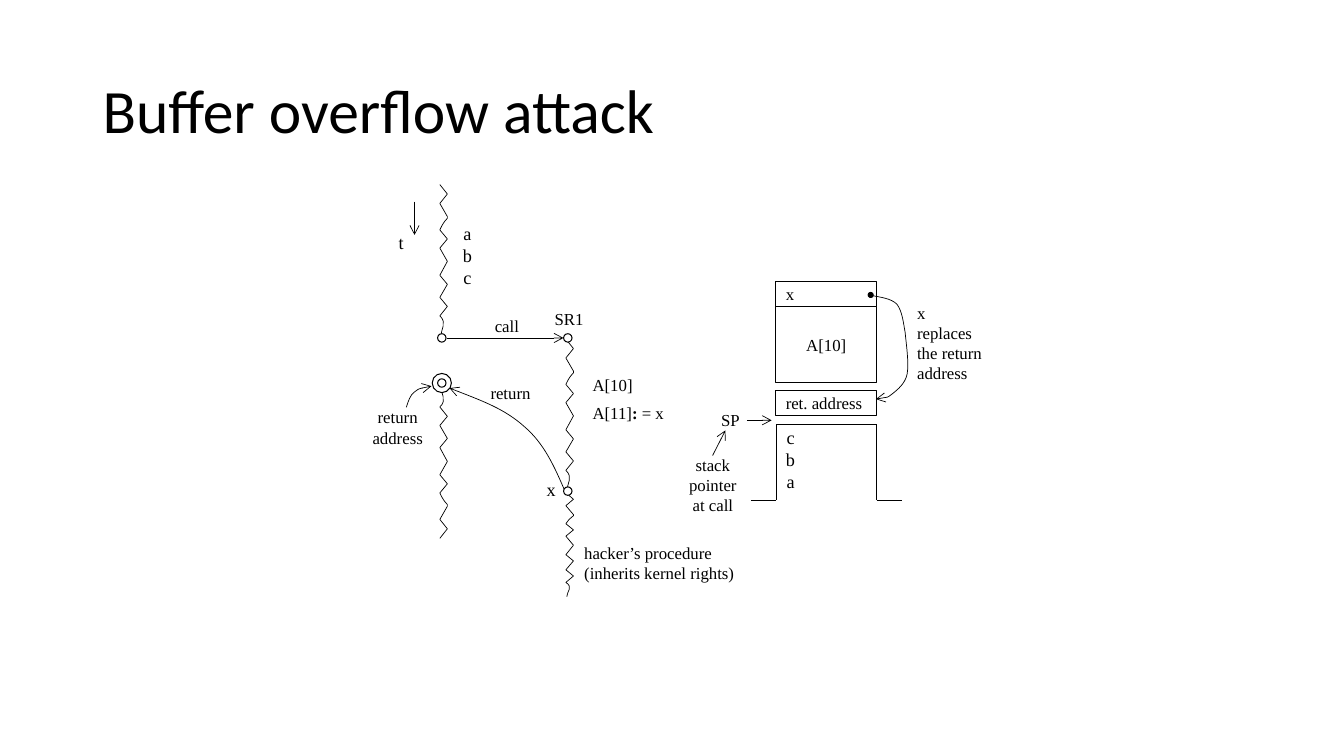
from lxml import etree
from pptx import Presentation
from pptx.dml.color import RGBColor
from pptx.enum.shapes import MSO_CONNECTOR, MSO_SHAPE
from pptx.enum.text import MSO_ANCHOR, MSO_AUTO_SIZE, PP_ALIGN
from pptx.oxml.ns import qn
from pptx.util import Pt

BLACK = RGBColor(0x00, 0x00, 0x00)
WHITE = RGBColor(0xFF, 0xFF, 0xFF)
LEFT, CENTER = PP_ALIGN.LEFT, PP_ALIGN.CENTER
MIDDLE = MSO_ANCHOR.MIDDLE
STRAIGHT = MSO_CONNECTOR.STRAIGHT
RECTANGLE, OVAL = MSO_SHAPE.RECTANGLE, MSO_SHAPE.OVAL
ZIGZAG_WIDTH = 5.4
ZIGZAG_HEIGHT = 108.7

presentation = Presentation()
presentation.slide_width = Pt(960)
presentation.slide_height = Pt(540)
slide = presentation.slides.add_slide(presentation.slide_layouts[6])
shapes = slide.shapes


def draw_path(start, steps):
    builder = shapes.build_freeform(Pt(start[0]), Pt(start[1]), scale=1.0)
    builder.add_line_segments([(Pt(step[-2]), Pt(step[-1])) for step in steps], close=False)
    shape = builder.convert_to_shape()
    shape.fill.background()
    shape.shadow.inherit = False
    segments = list(shape._element.iter(qn("a:lnTo")))
    for segment, step in zip(segments, steps):
        if len(step) == 2:
            continue
        segment.tag = qn("a:cubicBezTo")
        for position in (0, 1):
            control = etree.Element(qn("a:pt"))
            control.set("x", str(Pt(step[2 * position]) - shape.left))
            control.set("y", str(Pt(step[2 * position + 1]) - shape.top))
            segment.insert(position, control)
    return shape


def write_text(shape, lines, size, alignment, font_name="Times New Roman"):
    frame = shape.text_frame
    frame.word_wrap = True
    for number, line in enumerate(lines):
        paragraph = frame.paragraphs[0] if number == 0 else frame.add_paragraph()
        paragraph.alignment = alignment
        for position, part in enumerate(line.split("|")):
            run = paragraph.add_run()
            run.text = part
            font_format = {"name": font_name, "size": Pt(size), "bold": position == 1}
            for attribute, value in font_format.items():
                setattr(run.font, attribute, value)
            run.font.color.rgb = BLACK


title = shapes.add_textbox(Pt(66.24), Pt(28.8), Pt(828), Pt(104.4))
title.text_frame.vertical_anchor = MIDDLE
write_text(title, ["Buffer overflow attack"], 44, LEFT, "Calibri")
title.text_frame.paragraphs[0].line_spacing = 0.9

stack_cells = [
    (219, 54, "A[10]", CENTER),
    (201, 18, "x", LEFT),
    (279, 18, "ret. address", LEFT),
]
for top, height, label, alignment in stack_cells:
    cell = shapes.add_shape(RECTANGLE, Pt(554.2), Pt(top), Pt(72), Pt(height))
    cell.shadow.inherit = False
    cell.fill.solid()
    cell.fill.fore_color.rgb = WHITE
    cell.line.color.rgb = BLACK
    cell.line.width = Pt(0.75)
    cell.text_frame.vertical_anchor = MIDDLE
    write_text(cell, [label], 12, alignment)

zigzag_steps = [
    (1, 6.8), (0, 13.5), (1, 22.9), (1.13, 25.2, 0.75, 23.5, 0, 32.4),
    (1, 38.9), (0, 45.4), (1, 54.9), (0, 64.8), (1, 71.3), (0, 80.6),
    (1, 87.1), (0, 93.8), (1, 98.6, 0.13, 103.7, 0.13, ZIGZAG_HEIGHT),
]
zigzags = [
    (314.2, 131.8, ZIGZAG_HEIGHT),
    (314.2, 384.5, -ZIGZAG_HEIGHT),
    (404.2, 242.2, ZIGZAG_HEIGHT),
    (404.2, 352, 74.2),
]
strokes = []
for left, start, height in zigzags:
    steps = [
        tuple(
            start + value * height / ZIGZAG_HEIGHT if index % 2 else left + value * ZIGZAG_WIDTH
            for index, value in enumerate(step)
        )
        for step in zigzag_steps
    ]
    strokes.append((draw_path((left, start), steps), False))

curved_arrows = [
    ((290.2, 290.9), [(291.6, 286.6, 293, 282.2, 295.9, 280.1),
                      (299.5, 277.2, 303.8, 276.5, 308.2, 275.8)]),
    ((403.2, 349.9), [(396, 333.4, 388.8, 316.8, 374.4, 304.6),
                      (360.7, 292.3, 341.3, 285.1, 321.1, 277.2)]),
    ((622.1, 211), [(629.3, 212.4, 636.5, 213.1, 640.8, 217.4),
                    (644.4, 222.5, 645.1, 229, 646.6, 237.6),
                    (647.3, 245.5, 649.4, 259.2, 648, 267.1),
                    (646.6, 274.3, 640.8, 278.6, 637.2, 281.5),
                    (633.6, 284.4, 630, 284.4, 625.7, 285.1)]),
]
for start, steps in curved_arrows:
    strokes.append((draw_path(start, steps), True))

straight_lines = [
    (296.1, 144, 296.1, 167.8, True),
    (319, 241.4, 402.5, 241.4, True),
    (533.5, 300.2, 551.2, 300.2, True),
    (509, 325.4, 518.2, 307.4, True),
    (536.4, 357.1, 554.4, 357.1, False),
    (626.2, 357.1, 644.4, 357.1, False),
    (554.4, 303.1, 554.4, 357.1, False),
    (554.4, 303.1, 626.2, 303.1, False),
    (626.2, 303.1, 626.2, 357.1, False),
]
for x1, y1, x2, y2, has_arrow in straight_lines:
    connector = shapes.add_connector(STRAIGHT, Pt(x1), Pt(y1), Pt(x2), Pt(y2))
    strokes.append((connector, has_arrow))

for stroke, has_arrow in strokes:
    stroke.line.color.rgb = BLACK
    stroke.line.width = Pt(0.5)
    properties = stroke._element.spPr
    if has_arrow:
        etree.SubElement(properties.find(qn("a:ln")), qn("a:tailEnd"), type="arrow")
    if properties.find(qn("a:effectLst")) is None:
        etree.SubElement(properties, qn("a:effectLst"))

circles = [
    (315.6, 241.4, 6, WHITE),
    (405.6, 241.4, 6, WHITE),
    (405.6, 350.8, 6, WHITE),
    (315.6, 273.6, 13.7, WHITE),
    (315.6, 273.6, 6, WHITE),
    (621.9, 210.7, 3.6, BLACK),
]
for center_x, center_y, diameter, color in circles:
    circle = shapes.add_shape(OVAL, Pt(center_x - diameter / 2), Pt(center_y - diameter / 2),
                              Pt(diameter), Pt(diameter))
    circle.shadow.inherit = False
    circle.fill.solid()
    circle.fill.fore_color.rgb = color
    circle.line.color.rgb = BLACK
    circle.line.width = Pt(0.75)

labels = [
    (254.2, 287.3, 59.8, 36.7, ["return address"], 12, CENTER),
    (268.6, 162, 36, 23, ["t"], 13, CENTER),
    (334.8, 270, 59.8, 21.6, ["return"], 12, CENTER),
    (332.2, 221.8, 59.8, 21.6, ["call"], 12, CENTER),
    (315.8, 155.5, 36, 54.7, ["a", "b", "c"], 13, CENTER),
    (376.6, 216.7, 59.8, 21.6, ["SR1"], 12, CENTER),
    (416.2, 264.2, 59.8, 21.6, ["A[10]"], 12, LEFT),
    (416.2, 284.4, 72, 21.6, ["A[11]|: |= x"], 12, LEFT),
    (375.8, 338, 36, 23, ["x"], 13, CENTER),
    (410.2, 383.8, 138.2, 36.7, ["hacker’s procedure", "(inherits kernel rights)"], 12, LEFT),
    (482.2, 321.1, 54, 51.1, ["stack", "pointer", "at call"], 12, CENTER),
    (546.7, 301, 36, 54.7, ["c", "b", "a"], 13, CENTER),
    (495.8, 289.4, 51.8, 21.6, ["SP"], 12, CENTER),
    (648, 212.4, 66.2, 65.5, ["x", "replaces the return address"], 12, LEFT),
]
for left, top, width, height, lines, size, alignment in labels:
    label = shapes.add_textbox(Pt(left), Pt(top), Pt(width), Pt(height))
    label.text_frame.auto_size = MSO_AUTO_SIZE.SHAPE_TO_FIT_TEXT
    write_text(label, lines, size, alignment)

presentation.save("out.pptx")
